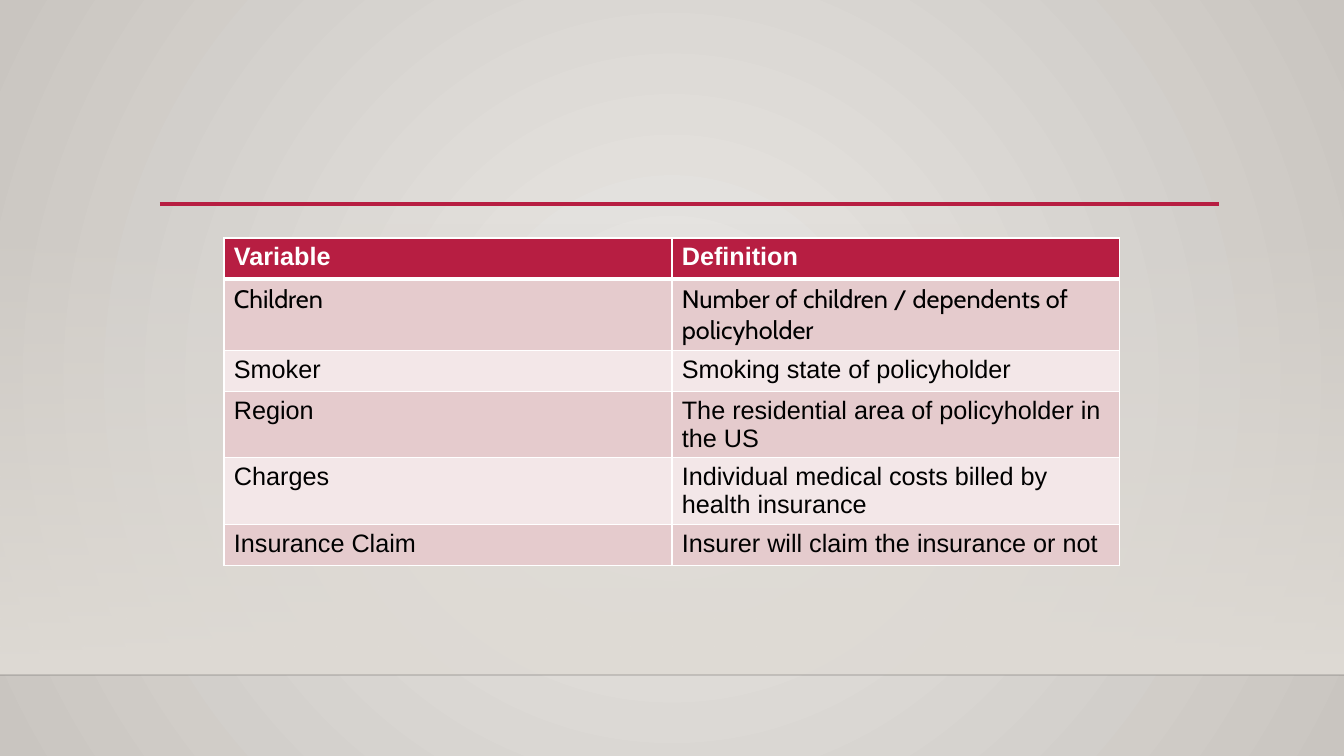
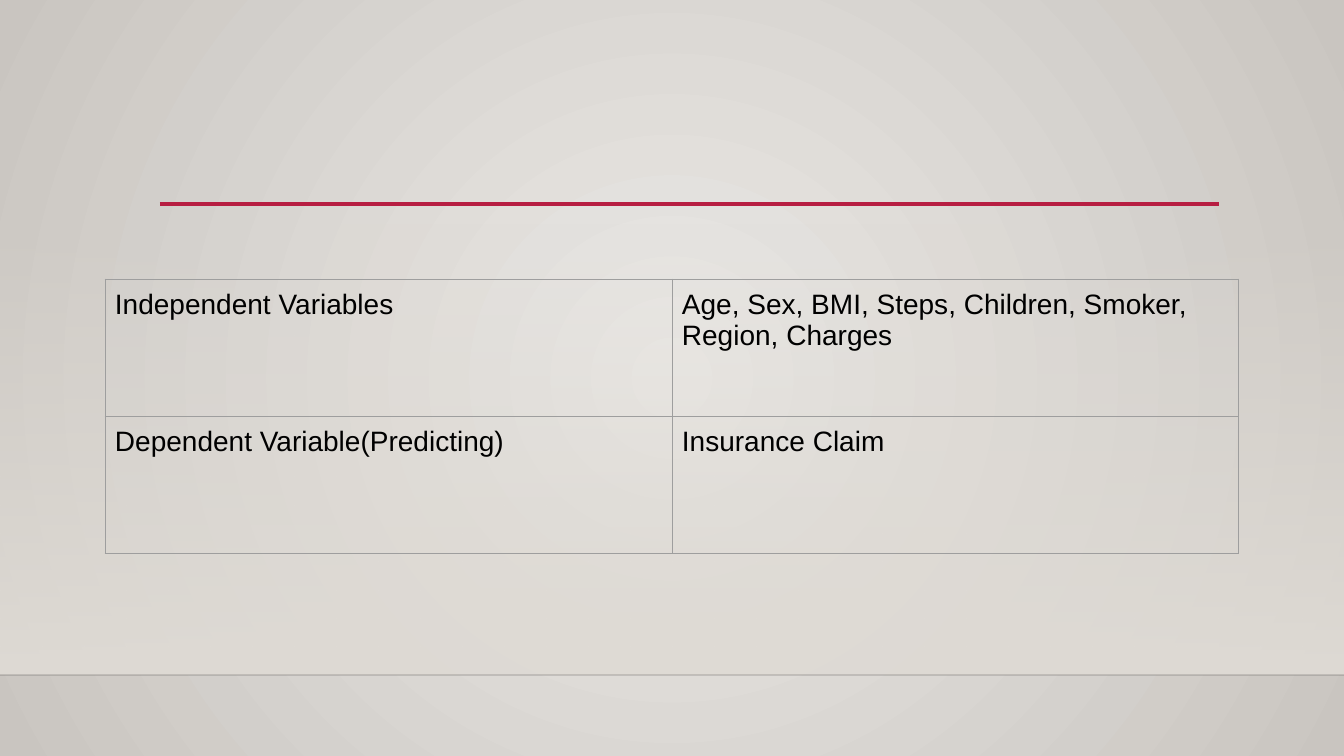
"""Build two slides that tabulate the variables of an insurance data set."""
from lxml import etree
from pptx import Presentation
from pptx import util as u
from pptx.dml.color import RGBColor
from pptx.enum import shapes
from pptx.oxml import ns

CRIMSON = RGBColor(0xB7, 0x1E, 0x42)
ROSE = RGBColor(0xE5, 0xCB, 0xCD)
BLUSH = RGBColor(0xF3, 0xE7, 0xE8)
WHITE = RGBColor(0xFF, 0xFF, 0xFF)
BLACK = RGBColor(0x00, 0x00, 0x00)
EDGE_BLACK = RGBColor(0x00, 0x00, 0x01)
GRID_GREY = RGBColor(0x9E, 0x9E, 0x9E)
CENTRE_GREY = RGBColor(0xEB, 0xE9, 0xE6)
CORNER_GREY = RGBColor(0xC9, 0xC5, 0xC0)
WALL_GREY = RGBColor(0xDF, 0xDB, 0xD5)

WIDTH, HEIGHT = 1344, 756
FLOOR_Y, WALL_Y, RULE_Y = 675, 223, 204


def px(length):
    return u.Emu(round(length * 914400 / 100.8))


def add_child(parent, tag, **attributes):
    return etree.SubElement(parent, ns.qn(tag), attributes)


definitions = [
    ("Variable", "Definition"),
    ("Children", "Number of children / dependents of policyholder"),
    ("Smoker", "Smoking state of policyholder"),
    ("Region", "The residential area of policyholder in the US"),
    ("Charges", "Individual medical costs billed by health insurance"),
    ("Insurance Claim", "Insurer will claim the insurance or not"),
]
roles = [
    ("Independent Variables", "Age, Sex, BMI, Steps, Children, Smoker, Region, Charges"),
    ("Dependent Variable(Predicting)", "Insurance Claim"),
]
pages = [
    dict(rows=definitions, left=224, top=238, column=448, row=41, inset=5, size=18,
         border=WHITE, weight=1, fills=[CRIMSON] + [ROSE, BLUSH] * 2 + [ROSE]),
    dict(rows=roles, left=105, top=279, column=567, row=137, inset=10, size=20,
         border=GRID_GREY, weight=0.75, fills=[None, None]),
]

prs = Presentation()
prs.slide_width, prs.slide_height = px(WIDTH), px(HEIGHT)

backdrop = prs.slide_master.background.fill
backdrop.gradient()
for stop, color in zip(backdrop.gradient_stops, (CENTRE_GREY, CORNER_GREY)):
    stop.color.rgb = color
direction = next(prs.slide_master.element.iter(ns.qn("a:lin")))
glow = etree.Element(ns.qn("a:path"), {"path": "circle"})
add_child(glow, "a:fillToRect", l="50000", t="50000", r="50000", b="50000")
direction.getparent().replace(direction, glow)

for page in pages:
    slide = prs.slides.add_slide(prs.slide_layouts[6])

    wall = slide.shapes.add_shape(shapes.MSO_SHAPE.RECTANGLE, 0, px(WALL_Y),
                                  px(WIDTH), px(FLOOR_Y - WALL_Y))
    wall.shadow.inherit = False
    wall.line.fill.background()
    wall.fill.gradient()
    wall.fill.gradient_angle = 270
    for stop in wall.fill.gradient_stops:
        stop.color.rgb = WALL_GREY
    add_child(next(wall.element.spPr.iter(ns.qn("a:srgbClr"))), "a:alpha", val="0")

    for start, end, y, color, weight, opacity in (
        (0, WIDTH, FLOOR_Y, EDGE_BLACK, 1, 20),
        (160, 1219, RULE_Y, CRIMSON, 2.5, 100),
    ):
        rule = slide.shapes.add_connector(shapes.MSO_CONNECTOR.STRAIGHT,
                                          px(start), px(y), px(end), px(y))
        rule.line.color.rgb = color
        rule.line.width = u.Pt(weight)
        add_child(next(rule.element.spPr.iter(ns.qn("a:srgbClr"))), "a:alpha",
                  val=str(opacity * 1000))
        add_child(rule.element.spPr, "a:effectLst")

    rows = page["rows"]
    table = slide.shapes.add_table(len(rows), 2, px(page["left"]), px(page["top"]),
                                   px(2 * page["column"]), px(len(rows) * page["row"])).table
    table.first_row = table.horz_banding = False
    for column in table.columns:
        column.width = px(page["column"])
    for index, (words, fill) in enumerate(zip(rows, page["fills"])):
        table.rows[index].height = px(page["row"])
        is_header = fill == CRIMSON
        below_header = index > 0 and page["fills"][index - 1] == CRIMSON
        for cell, wording in zip(table.rows[index].cells, words):
            cell.margin_left = cell.margin_right = px(10)
            cell.margin_top = cell.margin_bottom = px(page["inset"])
            for side in "LRTB":
                thick = (side == "B" and is_header) or (side == "T" and below_header)
                weight = 3 if thick else page["weight"]
                border = add_child(cell._tc.get_or_add_tcPr(), "a:ln" + side,
                                   w=str(u.Pt(weight)))
                add_child(add_child(border, "a:solidFill"), "a:srgbClr",
                          val=str(page["border"]))
            if fill is None:
                cell.fill.background()
            else:
                cell.fill.solid()
                cell.fill.fore_color.rgb = fill
            cell.text_frame.text = wording
            font = cell.text_frame.paragraphs[0].runs[0].font
            font.name = "Cabin" if below_header else "Arial"
            font.size = u.Pt(page["size"])
            font.bold = is_header
            font.color.rgb = WHITE if is_header else BLACK

prs.save("out.pptx")
